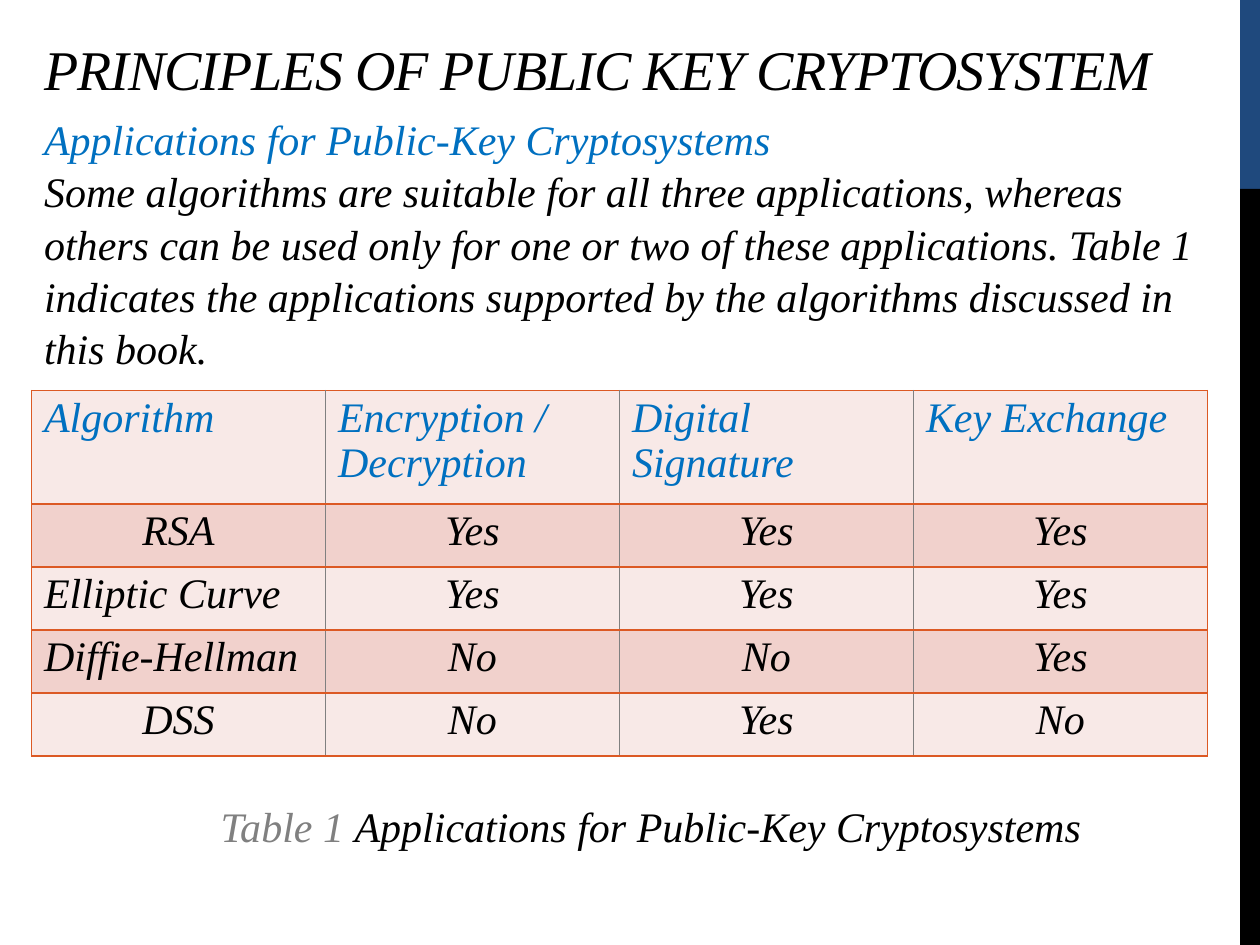
from dataclasses import dataclass

from lxml.etree import SubElement
from pptx import Presentation
from pptx.dml.color import RGBColor
from pptx.enum.shapes import MSO_SHAPE
from pptx.enum.text import MSO_ANCHOR, MSO_AUTO_SIZE, PP_ALIGN
from pptx.oxml.ns import qn
from pptx.util import Inches, Pt

SLIDE_WIDTH, SLIDE_HEIGHT = Inches(10), Inches(7.5)
GRID_COLUMNS, GRID_ROWS = 120, 90

NAVY = RGBColor(0x1F, 0x49, 0x7D)
BLACK = RGBColor(0x00, 0x00, 0x00)
BLUE = RGBColor(0x00, 0x70, 0xC0)
GRAY = RGBColor(0x80, 0x80, 0x80)
ORANGE = RGBColor(0xDC, 0x59, 0x24)
PALE_ROSE = RGBColor(0xF8, 0xE9, 0xE7)
ROSE = RGBColor(0xF1, 0xD1, 0xCC)

FONT_FORMAT = {"name": "Times New Roman", "size": Pt(24), "italic": True, "bold": False}
TITLE_FORMAT = FONT_FORMAT | {"size": Pt(32)}


@dataclass(frozen=True)
class Region:
    column: float
    row: float
    columns: float
    rows: float

    def place(self) -> dict:
        across, down = SLIDE_WIDTH / GRID_COLUMNS, SLIDE_HEIGHT / GRID_ROWS
        return {
            "left": round(self.column * across),
            "top": round(self.row * down),
            "width": round(self.columns * across),
            "height": round(self.rows * down),
        }


@dataclass(frozen=True)
class Span:
    text: str
    color: RGBColor = BLACK


@dataclass(frozen=True)
class Bar:
    region: Region
    color: RGBColor


BARS = [
    Bar(Region(118.1, 0, 1.9, 18), NAVY),
    Bar(Region(118.1, 18, 1.9, 72), BLACK),
]
TITLE_REGION = Region(3, 0, 114, 10.3)
BODY_REGION = Region(3, 10, 113, 25.2)
TABLE_REGION = Region(3, 37.2, 112, 34.8)
CAPTION_REGION = Region(12, 75.5, 100, 10.8)
HEADER_ROWS, DATA_ROWS = 10.8, 6

TITLE = [[Span("PRINCIPLES OF PUBLIC KEY CRYPTOSYSTEM")]]
BODY = [
    [Span("Applications for Public-Key Cryptosystems", BLUE)],
    [Span("Some algorithms are suitable for all three applications, whereas others "
          "can be used only for one or two of these applications. Table 1 indicates "
          "the applications supported by the algorithms discussed in this book.")],
]
CAPTION = [[Span("Table 1 ", GRAY), Span("Applications for Public-Key Cryptosystems")]]
SUPPORT = [
    ("Algorithm", "Encryption / Decryption", "Digital Signature", "Key Exchange"),
    ("RSA", "Yes", "Yes", "Yes"),
    ("Elliptic Curve", "Yes", "Yes", "Yes"),
    ("Diffie-Hellman", "No", "No", "Yes"),
    ("DSS", "No", "Yes", "No"),
]
LEFT_ALIGNED = {"Elliptic Curve", "Diffie-Hellman", *SUPPORT[0]}


def set_attributes(target, values: dict) -> None:
    for name, value in values.items():
        setattr(target, name, value)


def write(frame, paragraphs: list, font_format: dict, alignment, spacing: float) -> None:
    for index, spans in enumerate(paragraphs):
        para = frame.add_paragraph() if index else frame.paragraphs[0]
        set_attributes(para, {
            "alignment": alignment,
            "line_spacing": spacing,
            "space_before": Pt(0),
            "space_after": Pt(0),
        })
        for span in spans:
            run = para.add_run()
            run.text = span.text
            set_attributes(run.font, font_format)
            run.font.color.rgb = span.color


def fill_box(box, region: Region, paragraphs: list, font_format: dict,
             alignment=PP_ALIGN.LEFT, anchor=MSO_ANCHOR.TOP, spacing: float = 1.04) -> None:
    set_attributes(box, region.place())
    set_attributes(box.text_frame, {
        "word_wrap": True,
        "auto_size": MSO_AUTO_SIZE.NONE,
        "vertical_anchor": anchor,
    })
    write(box.text_frame, paragraphs, font_format, alignment, spacing)


def draw_bar(page, bar: Bar) -> None:
    shape = page.shapes.add_shape(MSO_SHAPE.RECTANGLE, **bar.region.place())
    shape.shadow.inherit = False
    shape.fill.solid()
    shape.fill.fore_color.rgb = bar.color
    shape.line.fill.background()


def remove_bullets(box) -> None:
    for para in box.text_frame.paragraphs:
        properties = para._p.get_or_add_pPr()
        properties.set("marL", "0")
        properties.set("indent", "0")
        SubElement(properties, qn("a:buNone"))


def set_borders(cell, colors: dict) -> None:
    properties = cell._tc.get_or_add_tcPr()
    for index, (side, color) in enumerate(colors.items()):
        line = SubElement(properties, qn(f"a:{side}"), w=str(Pt(0.96)))
        fill = SubElement(line, qn("a:solidFill"))
        SubElement(fill, qn("a:srgbClr"), val=str(color))
        properties.insert(index, line)


def draw_table(page) -> None:
    last_column = len(SUPPORT[0]) - 1
    table = page.shapes.add_table(
        len(SUPPORT), len(SUPPORT[0]), **TABLE_REGION.place()).table
    for row_index, texts in enumerate(SUPPORT):
        rows = DATA_ROWS if row_index else HEADER_ROWS
        table.rows[row_index].height = Region(0, 0, 0, rows).place()["height"]
        for column_index, text in enumerate(texts):
            cell = table.cell(row_index, column_index)
            cell.fill.solid()
            cell.fill.fore_color.rgb = ROSE if row_index % 2 else PALE_ROSE
            set_borders(cell, {
                "lnL": GRAY if column_index else ORANGE,
                "lnR": GRAY if column_index < last_column else ORANGE,
                "lnT": ORANGE,
                "lnB": ORANGE,
            })
            span = Span(text, BLACK if row_index else BLUE)
            alignment = PP_ALIGN.LEFT if text in LEFT_ALIGNED else PP_ALIGN.CENTER
            write(cell.text_frame, [[span]], FONT_FORMAT, alignment, 0.96)


def main() -> None:
    deck = Presentation()
    set_attributes(deck, {"slide_width": SLIDE_WIDTH, "slide_height": SLIDE_HEIGHT})
    page = deck.slides.add_slide(deck.slide_layouts[1])
    for bar in BARS:
        draw_bar(page, bar)

    title, body = page.shapes.title, page.placeholders[1]
    fill_box(title, TITLE_REGION, TITLE, TITLE_FORMAT, anchor=MSO_ANCHOR.BOTTOM, spacing=1.0)
    title.text_frame.paragraphs[0].runs[0].font._element.set("spc", "-60")
    fill_box(body, BODY_REGION, BODY, FONT_FORMAT)
    remove_bullets(body)

    draw_table(page)
    caption = page.shapes.add_textbox(**CAPTION_REGION.place())
    fill_box(caption, CAPTION_REGION, CAPTION, FONT_FORMAT, PP_ALIGN.CENTER)
    deck.save("out.pptx")


if __name__ == "__main__":
    main()
